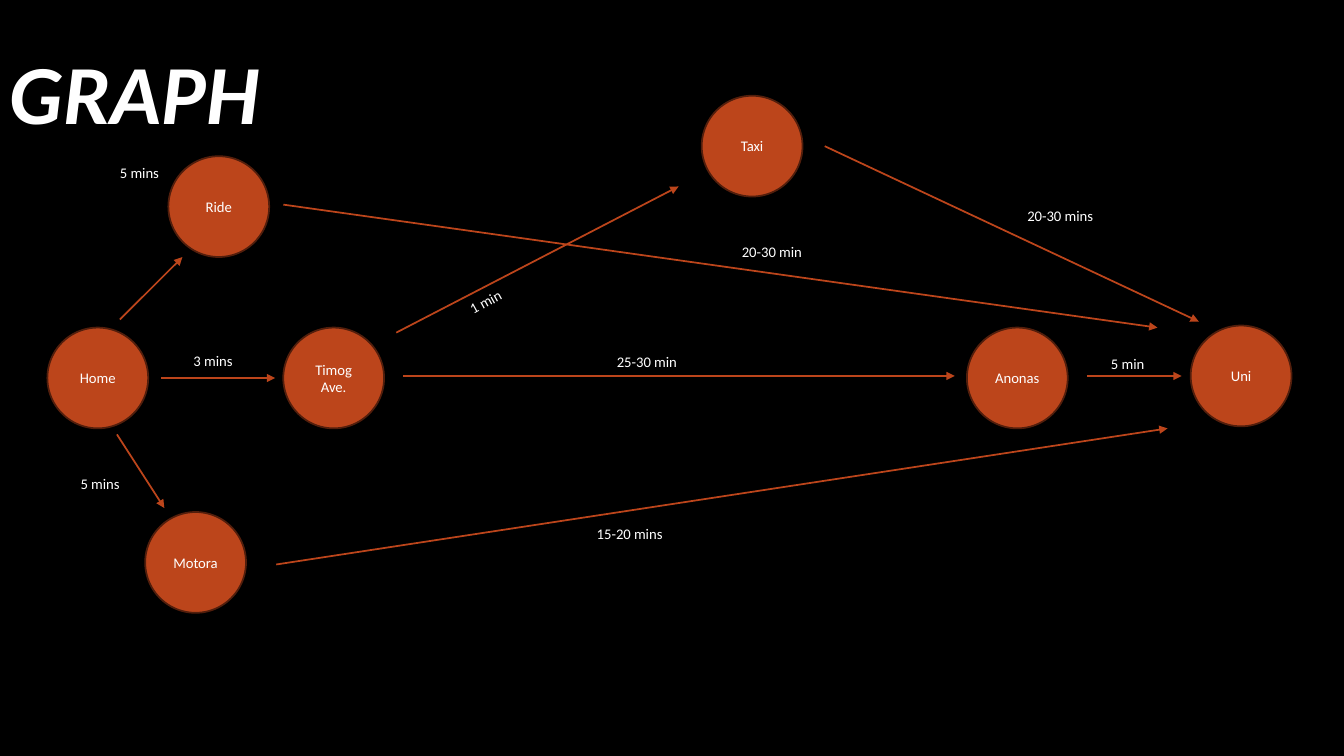
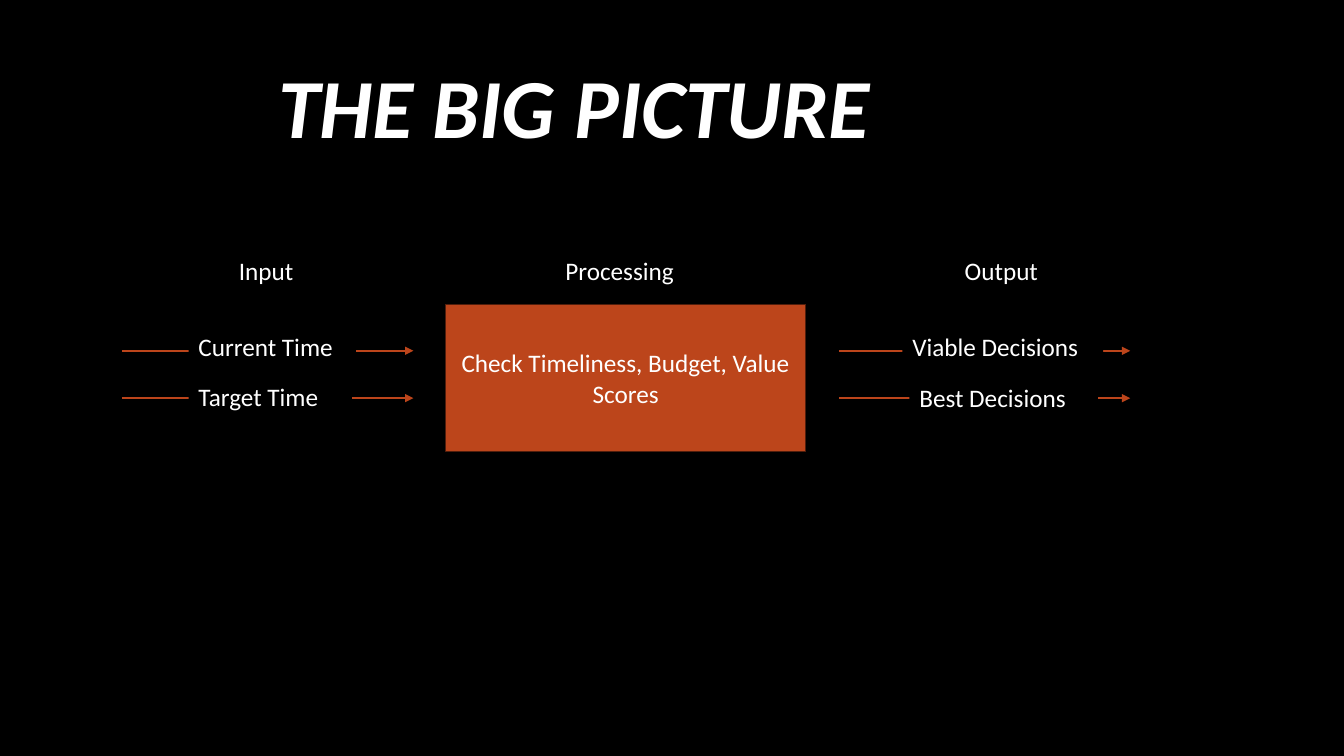
from lxml import etree
from pptx import Presentation
from pptx.dml.color import RGBColor
from pptx.enum import shapes, text
from pptx.oxml import ns
from pptx.util import Inches, Pt

COLORS = {"back": "000000", "ink": "FFFFFF", "accent": "BC451B", "edge": "521E0C"}
FONT = "Calibri"
WIDTH, HEIGHT = 13.33, 7.5
LINE_WIDTH = 1.25
TITLE_SIZE, GRAPH_SIZE, FLOW_SIZE = 60, 10.5, 18
TITLE_HEIGHT = 1.11

# Travel graph: stops by left and top, routes by start and end
STOP_DIAMETER = 1
STOPS = {
    "Uni": (11.81, 3.23),
    "Home": (0.47, 3.25),
    "Timog Ave.": (2.81, 3.25),
    "Motora": (1.44, 5.08),
    "Ride": (1.67, 1.55),
    "Taxi": (6.96, 0.95),
    "Anonas": (9.59, 3.25),
}
ROUTES = [
    ((1.6, 3.75), (2.73, 3.75)),
    ((2.74, 5.6), (11.58, 4.25)),
    ((2.81, 2.03), (11.48, 3.25)),
    ((4, 3.73), (9.47, 3.73)),
    ((3.93, 3.3), (6.73, 1.85)),
    ((8.18, 1.45), (11.89, 3.19)),
    ((10.78, 3.73), (11.72, 3.73)),
    ((1.16, 4.31), (1.63, 5.04)),
    ((1.19, 3.17), (1.81, 2.55)),
]
DURATION_HEIGHT = 0.28
DURATIONS = [  # wording, left, top, width, rotation
    ("3 mins", 1.82, 3.44, 0.62, 0),
    ("5 mins", 0.7, 4.66, 0.62, 0),
    ("5 mins", 1.09, 1.58, 0.62, 0),
    ("1 min", 4.55, 2.85, 0.55, 331.3),
    ("20-30 mins", 10.09, 2, 0.91, 0),
    ("25-30 min", 6.02, 3.45, 0.84, 0),
    ("5 min", 10.92, 3.47, 0.55, 0),
    ("15-20 mins", 5.82, 5.16, 0.91, 0),
    ("20-30 min", 7.26, 2.36, 0.84, 0),
]

# Input, processing, output
PROCESS = ("Check Timeliness, Budget, Value Scores", (4.42, 3.02, 3.57, 1.46))
FLOW_STARTS, FLOW_ROWS, FLOW_LENGTH = (1.21, 8.32), (3.48, 3.95), 2.89
FLOW_LABEL_HEIGHT = 0.4
FLOW_LABELS = [  # wording, left, top, width, wrap
    ("Current Time", 1.87, 3.24, 1.66, False),
    ("Target Time", 1.87, 3.73, 1.62, True),
    ("Viable Decisions", 8.95, 3.24, 1.99, False),
    ("Best Decisions", 9.02, 3.74, 1.87, True),
    ("Input", 2.27, 2.48, 0.78, False),
    ("Processing", 5.51, 2.48, 1.34, False),
    ("Output", 9.47, 2.48, 0.96, False),
]


def color(name):
    return RGBColor.from_string(COLORS[name])


def write(shape, wording, size, wrap=True, emphasis=False):
    frame = shape.text_frame
    frame.text = wording
    frame.word_wrap = wrap
    font = frame.paragraphs[0].runs[0].font
    font.name, font.size = FONT, Pt(size)
    font.bold = font.italic = emphasis
    font.color.rgb = color("ink")


def add_label(slide, wording, box, size, wrap=False, emphasis=False, fill=None):
    label = slide.shapes.add_textbox(*map(Inches, box))
    write(label, wording, size, wrap, emphasis)
    label.text_frame.auto_size = text.MSO_AUTO_SIZE.SHAPE_TO_FIT_TEXT
    if fill:
        label.fill.solid()
        label.fill.fore_color.rgb = color(fill)
    return label


def add_node(slide, kind, wording, box, size):
    node = slide.shapes.add_shape(kind, *map(Inches, box))
    node.shadow.inherit = False
    node.fill.solid()
    node.fill.fore_color.rgb = color("accent")
    node.line.color.rgb = color("edge")
    node.line.width = Pt(LINE_WIDTH)
    write(node, wording, size)
    node.text_frame.vertical_anchor = text.MSO_ANCHOR.MIDDLE
    node.text_frame.paragraphs[0].alignment = text.PP_ALIGN.CENTER


def add_arrow(slide, start, end):
    arrow = slide.shapes.add_connector(
        shapes.MSO_CONNECTOR.STRAIGHT, *map(Inches, start + end))
    arrow.line.color.rgb = color("accent")
    arrow.line.width = Pt(LINE_WIDTH)
    etree.SubElement(arrow.line._get_or_add_ln(), ns.qn("a:tailEnd"), type="triangle")
    etree.SubElement(arrow._element.spPr, ns.qn("a:effectLst"))


def add_slide(deck, title, left, top):
    slide = deck.slides.add_slide(deck.slide_layouts[6])
    slide.background.fill.solid()
    slide.background.fill.fore_color.rgb = color("back")
    box = (left, top, WIDTH - left, TITLE_HEIGHT)
    add_label(slide, title, box, TITLE_SIZE, wrap=True, emphasis=True)
    return slide


def build_graph(deck):
    slide = add_slide(deck, "GRAPH", 0, 0.35)
    for stop, corner in STOPS.items():
        box = corner + (STOP_DIAMETER, STOP_DIAMETER)
        add_node(slide, shapes.MSO_SHAPE.OVAL, stop, box, GRAPH_SIZE)
    for start, end in ROUTES:
        add_arrow(slide, start, end)
    for wording, left, top, width, rotation in DURATIONS:
        box = (left, top, width, DURATION_HEIGHT)
        add_label(slide, wording, box, GRAPH_SIZE).rotation = rotation


def build_flow(deck):
    slide = add_slide(deck, "THE BIG PICTURE", 2.66, 0.49)
    add_node(slide, shapes.MSO_SHAPE.RECTANGLE, *PROCESS, FLOW_SIZE)
    for left in FLOW_STARTS:
        for row in FLOW_ROWS:
            add_arrow(slide, (left, row), (left + FLOW_LENGTH, row))
    # Filled labels interrupt the arrows beneath them
    for wording, left, top, width, wrap in FLOW_LABELS:
        box = (left, top, width, FLOW_LABEL_HEIGHT)
        add_label(slide, wording, box, FLOW_SIZE, wrap, fill="back")


def main():
    deck = Presentation()
    deck.slide_width, deck.slide_height = Inches(WIDTH), Inches(HEIGHT)
    build_graph(deck)
    build_flow(deck)
    deck.save("out.pptx")


if __name__ == "__main__":
    main()
